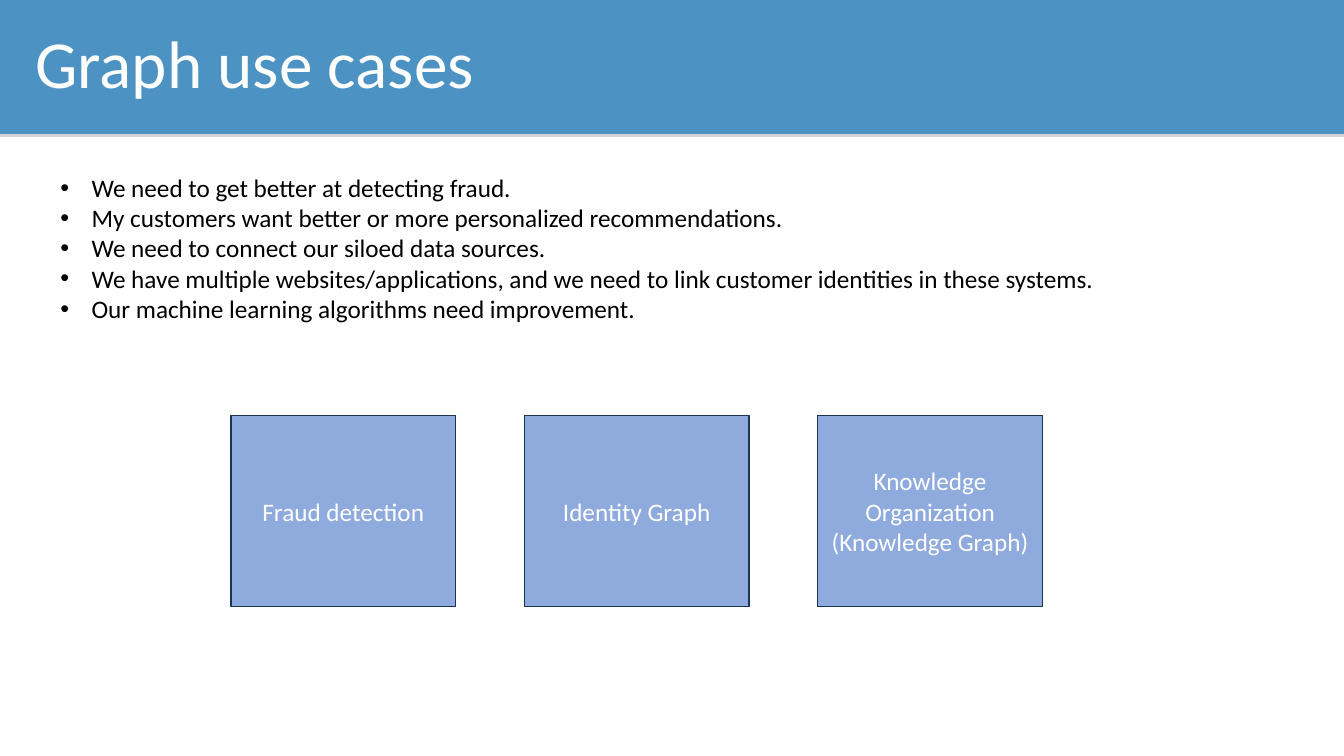
"""Build the "Graph use cases" slide."""
from lxml import etree
from pptx import Presentation
from pptx.dml.color import RGBColor
from pptx.enum.shapes import MSO_SHAPE
from pptx.enum.text import MSO_ANCHOR, MSO_AUTO_SIZE, PP_ALIGN
from pptx.oxml.ns import qn
from pptx.util import Inches, Pt

RECTANGLE = MSO_SHAPE.RECTANGLE
TOP, MIDDLE = MSO_ANCHOR.TOP, MSO_ANCHOR.MIDDLE
LEFT, CENTER, JUSTIFY = PP_ALIGN.LEFT, PP_ALIGN.CENTER, PP_ALIGN.JUSTIFY
NO_FIT = MSO_AUTO_SIZE.NONE

COLORS = {
    "banner": "4C93C4",
    "shadow": "808080",
    "card": "8FAADC",
    "card_line": "1E3256",
    "light": "FFFFFF",
    "dark": "000000",
}
NEEDS = [
    "We need to get better at detecting fraud.",
    "My customers want better or more personalized recommendations.",
    "We need to connect our siloed data sources.",
    "We have multiple websites/applications, and we need to link customer identities in these systems.",
    "Our machine learning algorithms need improvement.",
]
USE_CASES = ["Fraud detection", "Identity Graph", "Knowledge Organization (Knowledge Graph)"]


def style_paragraph(para, size, color, alignment):
    para.alignment = alignment
    para.font.name = "Calibri"
    para.font.size = Pt(size)
    para.font.color.rgb = RGBColor.from_string(COLORS[color])


def add_rectangle(left, top, width, height, fill):
    shape = page.shapes.add_shape(
        RECTANGLE, Inches(left), Inches(top), Inches(width), Inches(height))
    shape.shadow.inherit = False
    shape.fill.solid()
    shape.fill.fore_color.rgb = RGBColor.from_string(COLORS[fill])
    return shape


deck = Presentation()
deck.slide_width, deck.slide_height = Inches(13.33), Inches(7.5)
page = deck.slides.add_slide(deck.slide_layouts[5])

banner = add_rectangle(0, 0, 13.33, 1.33, "banner")
banner.line.fill.background()
effects = banner.element.spPr.find(qn("a:effectLst"))
shadow = etree.SubElement(effects, qn("a:outerShdw"), blurRad="0", dist=str(Pt(2)),
                          dir="5400000", algn="ctr", rotWithShape="0")
shadow_color = etree.SubElement(shadow, qn("a:srgbClr"), val=COLORS["shadow"])
etree.SubElement(shadow_color, qn("a:alpha"), val="35000")

title = page.shapes.title
title.element.addprevious(banner.element)
title.left, title.top = Inches(0.25), Inches(0.16)
title.width, title.height = Inches(11.72), Inches(0.91)
title.text_frame.text = "Graph use cases"
title.text_frame.auto_size = NO_FIT
title.text_frame.vertical_anchor = TOP
style_paragraph(title.text_frame.paragraphs[0], 48, "light", LEFT)

for index, use_case in enumerate(USE_CASES):
    card = add_rectangle(2.29 + index * 2.91, 4.12, 2.23, 1.9, "card")
    card.line.color.rgb = RGBColor.from_string(COLORS["card_line"])
    card.line.width = Pt(1)
    card.text_frame.text = use_case
    card.text_frame.word_wrap = True
    card.text_frame.vertical_anchor = MIDDLE
    style_paragraph(card.text_frame.paragraphs[0], 18, "light", CENTER)

needs_box = page.shapes.add_textbox(Inches(0.5), Inches(1.66), Inches(12.03), Inches(1.62))
needs_box.text_frame.word_wrap = True
needs_box.text_frame.text = "\n".join(NEEDS)
for para in needs_box.text_frame.paragraphs:
    style_paragraph(para, 18, "dark", JUSTIFY)
    properties = para._p.get_or_add_pPr()
    properties.set("marL", str(Inches(0.31)))
    properties.set("indent", str(Inches(-0.31)))
    bullet_font = etree.Element(qn("a:buFont"), typeface="Arial")
    bullet = etree.Element(qn("a:buChar"), char="•")
    properties.find(qn("a:defRPr")).addprevious(bullet_font)
    bullet_font.addnext(bullet)

deck.save("out.pptx")
